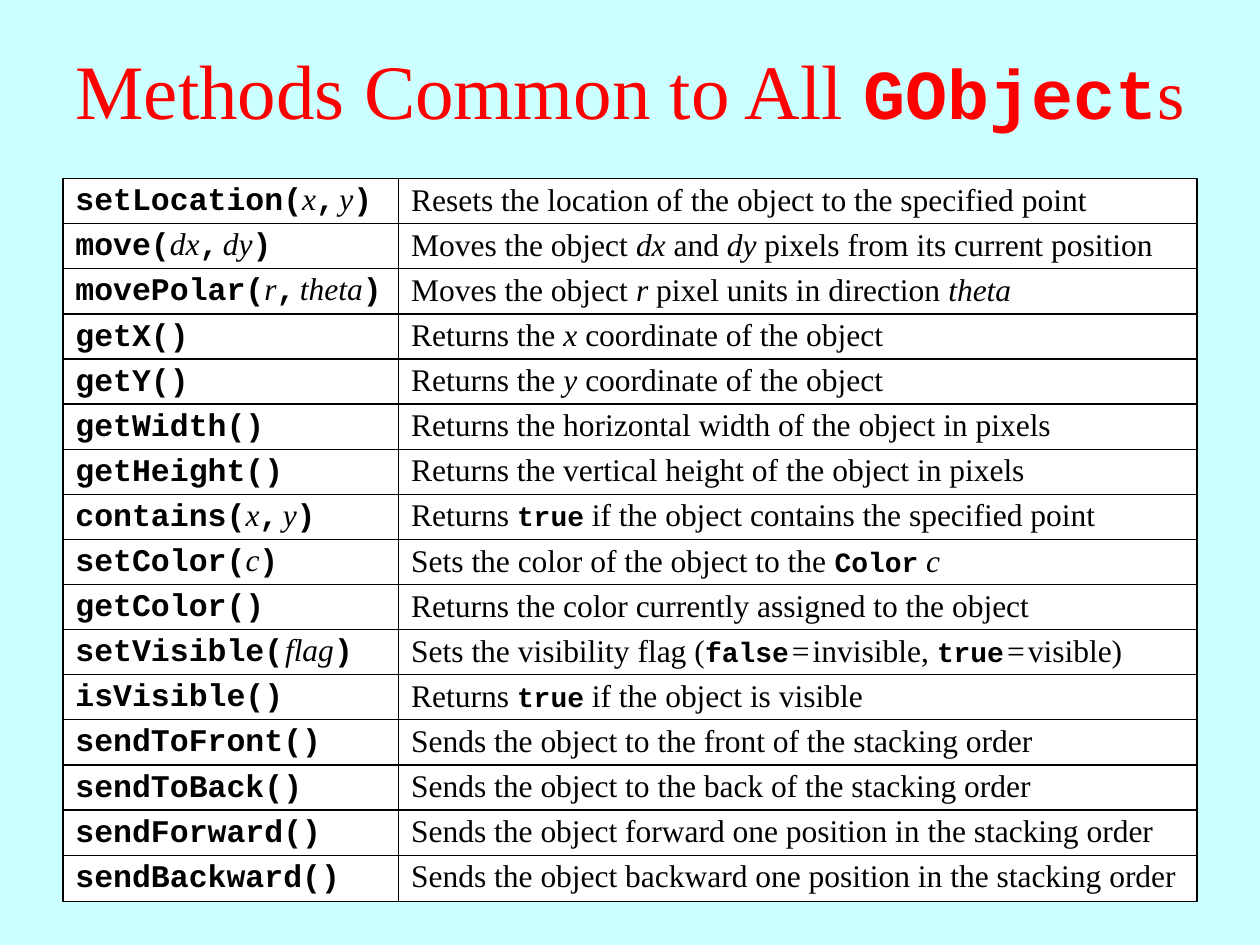
from pptx import Presentation
from pptx.dml.color import RGBColor
from pptx.enum.shapes import MSO_SHAPE as SHAPE
from pptx.enum.text import MSO_ANCHOR as ANCHOR, PP_ALIGN as ALIGN
from pptx.util import Cm, Pt

COLORS = {"background": "CCFFFF", "title": "FF0000", "text": "000000",
          "cell": "FFFFFF", "border": "000000"}
SERIF, MONO = "Times New Roman", "Courier New"

# Markup: `code`, _variable_, #text at code size#,
# and one mark for each size of narrow space
STYLES = {"`": "code", "_": "variable", "#": "small"}
SPACES = {"^": 4, "~": 7, "+": 10}

METHODS = [
    ("`setLocation(`_x_`,`+_y_`)`",
     "Resets the location of the object to the specified point"),
    ("`move(`_dx_`,`+_dy_`)`",
     "Moves the object _dx_ and _dy_ pixels from its current position"),
    ("`movePolar(`_r_`,`+_theta_`)`",
     "Moves the object _r_ pixel units in direction _theta_"),
    ("`getX()`", "Returns the _x_ coordinate of the object"),
    ("`getY()`", "Returns the _y_ coordinate of the object"),
    ("`getWidth()`", "Returns the horizontal width of the object in pixels"),
    ("`getHeight()`", "Returns the vertical height of the object in pixels"),
    ("`contains(`_x_`,`+_y_`)`",
     "Returns `true` if the object contains the specified point"),
    ("`setColor(`_c_`)`", "Sets the color of the object to the `Color` _c_"),
    ("`getColor()`", "Returns the color currently assigned to the object"),
    ("`setVisible(`^_flag_`)`",
     "Sets the visibility flag (`false`~=~invisible, `true`~=~visible)"),
    ("`isVisible()`", "Returns `true` if the object is visible"),
    ("`sendToFront()`", "Sends the object to the front of the stacking order"),
    ("`sendToBack()`", "Sends the object to the back of the stacking order"),
    ("`sendForward()`",
     "Sends the object forward one position in the stacking order"),
    ("`sendBackward()`",
     "Sends the object backward one position in the stacking order"),
]


def rgb(name):
    return RGBColor.from_string(COLORS[name])


def split_markup(text):
    """Return (text, style, space size) for each run of the marked-up text."""
    parts, style, word = [], None, ""
    for ch in text:
        if ch not in STYLES and ch not in SPACES:
            word += ch
            continue
        if word:
            parts.append((word, style, None))
            word = ""
        if ch in SPACES:
            parts.append((" ", "variable", SPACES[ch]))
        else:
            style = None if style else STYLES[ch]
    if word:
        parts.append((word, style, None))
    return parts


def write(p, text, color, size, code_size):
    for word, style, space_size in split_markup(text):
        r = p.add_run()
        r.text = word
        is_code = style == "code"
        text_size = code_size if style in ("code", "small") else size
        r.font.name = MONO if is_code else SERIF
        r.font.size = Pt(space_size or text_size)
        r.font.bold = is_code
        r.font.italic = style == "variable"
        r.font.color.rgb = rgb(color)


def add_title(slide, left, top, width, height):
    tf = slide.shapes.add_textbox(left, top, width, height).text_frame
    tf.word_wrap = True
    tf.vertical_anchor = ANCHOR.MIDDLE
    p = tf.paragraphs[0]
    p.alignment = ALIGN.CENTER
    write(p, "Methods Common to All `GObject`#s#", "title", 44, 40)


def add_cell(shapes, left, top, width, height):
    """Add a bordered box and return its paragraph."""
    sp = shapes.add_shape(SHAPE.RECTANGLE, left, top, width, height)
    sp.shadow.inherit = False
    sp.fill.solid()
    sp.fill.fore_color.rgb = rgb("cell")
    sp.line.color.rgb = rgb("border")
    sp.line.width = Pt(0.75)
    tf = sp.text_frame
    tf.word_wrap = False
    tf.vertical_anchor = ANCHOR.MIDDLE
    p = tf.paragraphs[0]
    p.alignment = ALIGN.LEFT
    return p


def add_column(slide, texts, left, top, width, height, spacing, code_size):
    """Stack one box for each text, each overlapping the next a little."""
    group = slide.shapes.add_group_shape()
    cell_height = Cm(0.93)
    pitch = (height - cell_height) / (len(texts) - 1)
    for i, text in enumerate(texts):
        p = add_cell(group.shapes, left, top + round(i * pitch),
                     width, cell_height)
        p.line_spacing = spacing
        write(p, text, "text", 18, code_size)


def add_method_list(slide, left, top, width, height):
    names, descriptions = zip(*METHODS)
    name_width = Cm(6.77)
    add_column(slide, names, left, top, name_width, height, 0.8, 18)
    add_column(slide, descriptions, left + name_width, top,
               width - name_width, height, 0.85, 16)


def main():
    prs = Presentation()
    prs.slide_width, prs.slide_height = Cm(25.4), Cm(19.05)
    slide = prs.slides.add_slide(prs.slide_layouts[6])
    slide.background.fill.solid()
    slide.background.fill.fore_color.rgb = rgb("background")
    add_title(slide, Cm(0), Cm(0.2), Cm(25.4), Cm(3.18))
    add_method_list(slide, Cm(1.27), Cm(3.6), Cm(22.86), Cm(14.57))
    prs.save("out.pptx")


if __name__ == "__main__":
    main()
